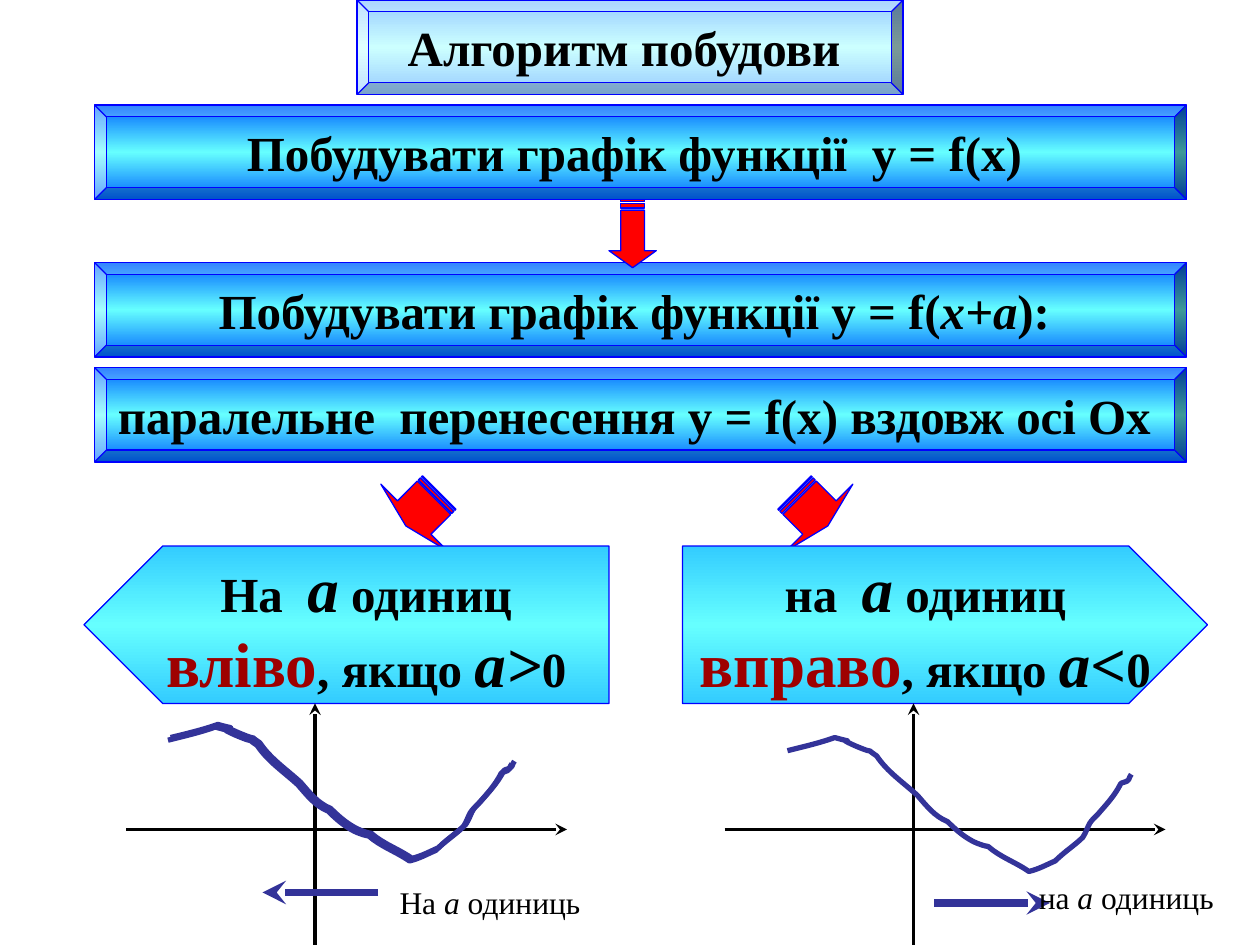
from copy import deepcopy

from lxml.etree import SubElement
from pptx import Presentation
from pptx.dml.color import RGBColor
from pptx.enum.shapes import MSO_CONNECTOR, MSO_SHAPE
from pptx.enum.text import MSO_ANCHOR, MSO_AUTO_SIZE, PP_ALIGN
from pptx.oxml.ns import qn
from pptx.util import Pt

EMU_PER_PX = 9525
FONT = "Times New Roman"
COLORS = {
    "text": "000000",
    "direction": "9E0000",
    "outline": "0000FF",
    "arrow": "FF0000",
    "axis": "000000",
    "graph": "333399",
}
# Edge and middle colours of each vertical gradient
GRADIENTS = {
    "title": ("99CCFF", "CCFFFF"),
    "step": ("0066FF", "66FFFF"),
    "case": ("33CCFF", "66FFFF"),
}
# Start point, then three points for each Bezier segment
GRAPH_START = (0, 12)
GRAPH_SEGMENTS = [
    [(12, 9), (25, 6), (36, 2)],
    [(58, 8), (33, 0), (51, 8)],
    [(72, 17), (55, 7), (68, 16)],
    [(76, 28), (88, 36), (99, 46)],
    [(106, 54), (112, 62), (122, 66)],
    [(131, 75), (141, 83), (153, 85)],
    [(162, 93), (174, 97), (184, 104)],
    [(192, 102), (197, 99), (204, 96)],
    [(211, 89), (219, 84), (225, 78)],
    [(230, 70), (228, 68), (236, 61)],
    [(242, 54), (249, 47), (254, 37)],
    [(255, 36), (259, 36), (260, 34)],
    [(261, 32), (261, 31), (262, 30)],
]


def px(*lengths):
    return [round(length * EMU_PER_PX) for length in lengths]


def rgb(name):
    return RGBColor.from_string(COLORS[name])


def write(frame, paragraphs, align, bold):
    """Each run is (text, size, italic) with an optional colour name."""
    frame.word_wrap = False
    for index, runs in enumerate(paragraphs):
        paragraph = frame.paragraphs[0] if index == 0 else frame.add_paragraph()
        paragraph.alignment = align
        for text, size, italic, *color in runs:
            run = paragraph.add_run()
            run.text = text
            run.font.name = FONT
            run.font.size = Pt(size)
            run.font.bold = bold
            run.font.italic = italic
            run.font.color.rgb = rgb(color[0] if color else "text")


def outline(shape, color, width):
    shape.shadow.inherit = False
    shape.line.color.rgb = rgb(color)
    shape.line.width = Pt(width)


def fill_gradient(shape, edge, middle):
    shape.fill.gradient()
    shape.fill.gradient_angle = 270
    stop_list = shape._element.spPr.find(qn("a:gradFill")).find(qn("a:gsLst"))
    stop_list.insert(1, deepcopy(stop_list[0]))
    for stop, position, color in zip(
        shape.fill.gradient_stops, (0, 0.5, 1), (edge, middle, edge)
    ):
        stop.position = position
        stop.color.rgb = RGBColor.from_string(color)


def add_block(slide, preset, box, gradient, paragraphs, adjustment):
    block = slide.shapes.add_shape(preset, *px(*box))
    block.adjustments[0] = adjustment
    fill_gradient(block, *GRADIENTS[gradient])
    outline(block, "outline", 0.75)
    block.text_frame.vertical_anchor = MSO_ANCHOR.MIDDLE
    write(block.text_frame, paragraphs, PP_ALIGN.CENTER, True)
    return block


def add_bar(slide, box, gradient, runs):
    add_block(slide, MSO_SHAPE.BEVEL, box, gradient, [runs], 0.125)


def add_case(slide, left, paragraphs, points_left=False):
    case = add_block(slide, MSO_SHAPE.PENTAGON, (left, 416, 400, 120),
                     "case", paragraphs, 0.5)
    if points_left:
        case._element.spPr.xfrm.set("flipH", "1")


def add_striped_arrow(slide, box, rotation, points_left=False):
    left, top, width, height = box

    def place(x, y):
        return px(left + width * (1 - x if points_left else x), top + height * y)

    def stripe(start, end):
        return [(start, 0.25), (end, 0.25), (end, 0.75), (start, 0.75)]

    head = [(5 / 32, 0.25), (0.75, 0.25), (0.75, 0), (1, 0.5),
            (0.75, 1), (0.75, 0.75), (5 / 32, 0.75)]
    builder = slide.shapes.build_freeform(*place(*head[0]))
    builder.add_line_segments([place(*point) for point in head[1:]])
    for start, *rest in (stripe(1 / 16, 1 / 8), stripe(0, 1 / 32)):
        builder.move_to(*place(*start))
        builder.add_line_segments([place(*point) for point in rest])
    arrow = builder.convert_to_shape()
    arrow.rotation = rotation
    arrow.fill.solid()
    arrow.fill.fore_color.rgb = rgb("arrow")
    outline(arrow, "outline", 0.75)


def add_pointer(shapes, start, end, color, width):
    pointer = shapes.add_connector(MSO_CONNECTOR.STRAIGHT, *px(*start, *end))
    pointer.line.color.rgb = rgb(color)
    pointer.line.width = Pt(width)
    properties = pointer._element.spPr
    SubElement(properties.find(qn("a:ln")), qn("a:tailEnd"), type="stealth")
    SubElement(properties, qn("a:effectLst"))


def add_axes(slide, left):
    axes = slide.shapes.add_group_shape().shapes
    add_pointer(axes, (left + 144, 720), (left + 144, 536), "axis", 2.25)
    add_pointer(axes, (left, 632), (left + 336, 632), "axis", 2.25)


def add_graph(slide, left, top):
    """Lay the points as a polyline, then join each three into a Bezier."""
    def place(point):
        return px(left + point[0], top + point[1])

    builder = slide.shapes.build_freeform(*place(GRAPH_START))
    builder.add_line_segments(
        [place(point) for segment in GRAPH_SEGMENTS for point in segment],
        close=False,
    )
    graph = builder.convert_to_shape()
    outline(graph, "graph", 3)
    graph.fill.background()
    track = next(graph._element.iter(qn("a:moveTo"))).getparent()
    lines = track.findall(qn("a:lnTo"))
    for first in range(0, len(lines), 3):
        bezier = SubElement(track, qn("a:cubicBezTo"))
        for line in lines[first:first + 3]:
            bezier.append(line[0])
            track.remove(line)


def add_label(slide, box, first_word):
    frame = slide.shapes.add_textbox(*px(*box)).text_frame
    frame.auto_size = MSO_AUTO_SIZE.SHAPE_TO_FIT_TEXT
    runs = [(first_word + " ", 18, False), ("a", 18, True), (" одиниць", 18, False)]
    write(frame, [runs], PP_ALIGN.LEFT, False)


def case_text(first_word, direction, sign):
    return [
        [(first_word + "  ", 28, False), ("a", 36, True), (" одиниц", 28, False)],
        [(direction, 36, False, "direction"), (", якщо ", 28, False),
         ("a" + sign, 36, True), ("0", 28, False)],
    ]


def main():
    deck = Presentation()
    deck.slide_width, deck.slide_height = px(960, 720)
    slide = deck.slides.add_slide(deck.slide_layouts[6])

    add_bar(slide, (72, 80, 832, 72), "step",
            [("Побудувати графік функції  y = f(x) ", 28, False)])
    add_bar(slide, (72, 200, 832, 72), "step",
            [("Побудувати графік функції y = f(", 28, False),
             ("x+a", 28, True), ("): ", 28, False)])
    add_striped_arrow(slide, (456, 160, 52, 36), 90)
    add_striped_arrow(slide, (600, 352, 36, 72), 45)
    add_striped_arrow(slide, (304, 352, 36, 72), 315, points_left=True)
    add_case(slide, 520, case_text("на", "вправо", "<"))
    add_case(slide, 64, case_text("На", "вліво", ">"), points_left=True)

    for left in (96, 552):
        add_axes(slide, left)
    for left, top in ((130, 550), (128, 552)):
        add_graph(slide, left, top)
    add_pointer(slide.shapes, (288, 680), (200, 680), "graph", 4.5)
    add_label(slide, (295, 668, 158, 38), "На")
    add_pointer(slide.shapes, (712, 688), (800, 688), "graph", 4.5)
    add_label(slide, (782, 664, 159, 38), "на")
    add_graph(slide, 600, 560)

    add_bar(slide, (72, 280, 832, 72), "step",
            [("паралельне  перенесення y = f(x) вздовж осі Ох ", 28, False)])
    add_bar(slide, (272, 0, 416, 72), "title", [("Алгоритм побудови ", 28, False)])
    deck.save("out.pptx")


if __name__ == "__main__":
    main()
